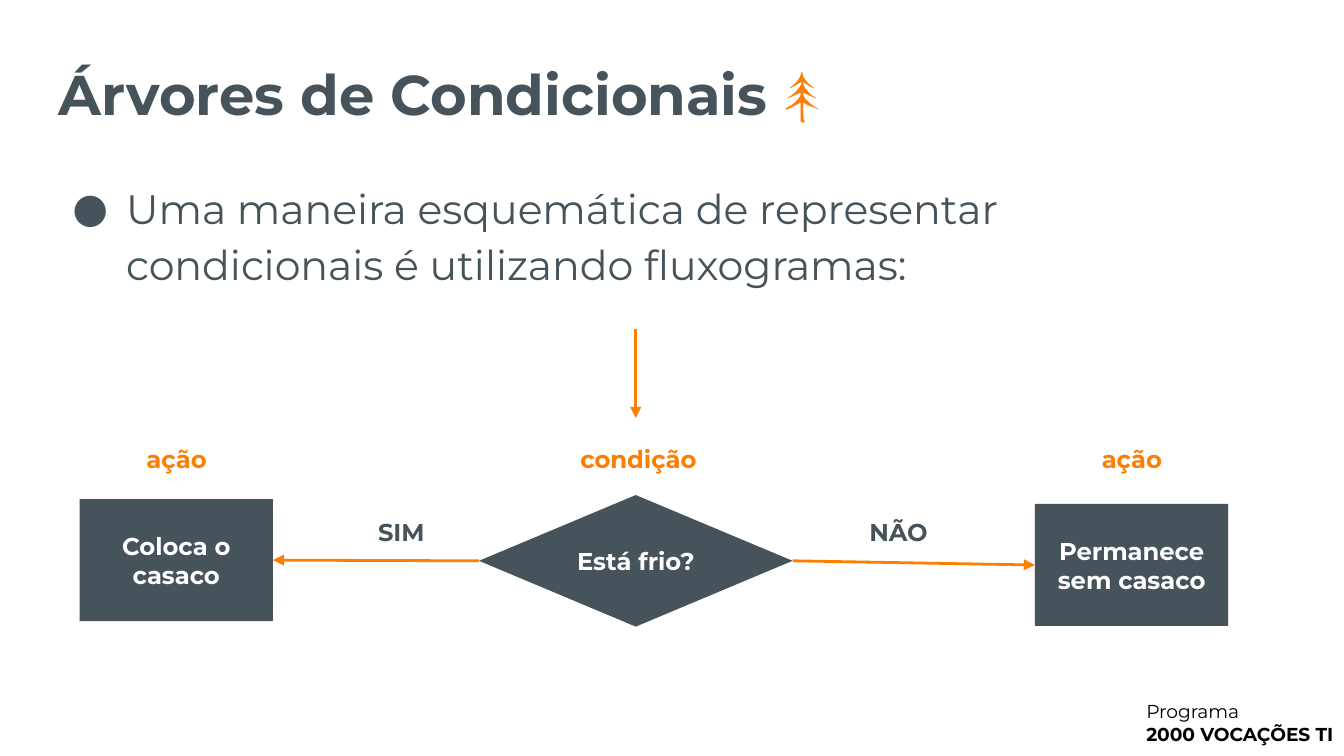
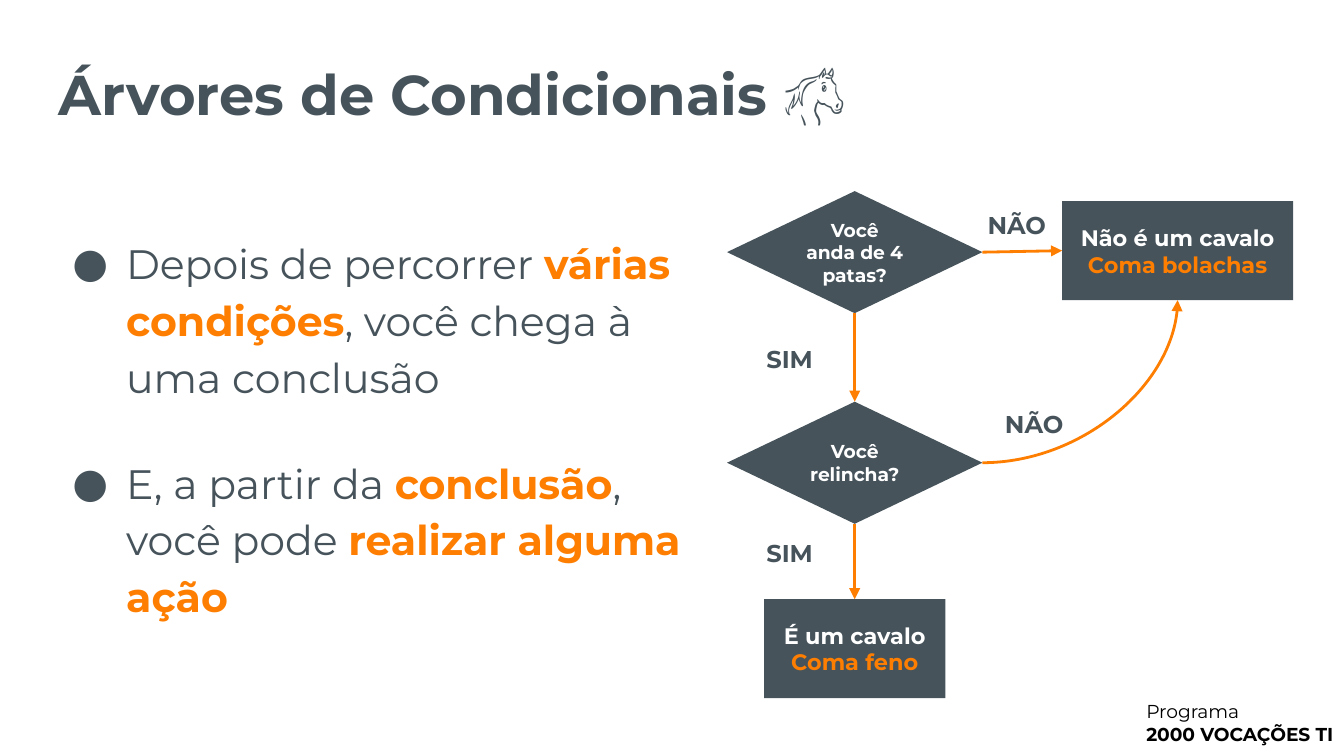
"""Build two slides that explain conditional trees with flowcharts."""
from dataclasses import dataclass

from lxml import etree
from pptx import Presentation
from pptx.dml.color import RGBColor
from pptx.enum import shapes, text
from pptx.oxml.ns import qn
from pptx.util import Pt

SLATE = RGBColor(0x46, 0x53, 0x5B)
ORANGE = RGBColor(0xFE, 0x7E, 0x02)
WHITE = RGBColor(0xFF, 0xFF, 0xFF)
BLACK = RGBColor(0x00, 0x00, 0x00)
FONT = "Montserrat"
INSET = 7.2
LEFT_MARGIN = 24.5
TITLE = "Árvores de Condicionais "
RECTANGLE = shapes.MSO_SHAPE.RECTANGLE
DECISION = shapes.MSO_SHAPE.FLOWCHART_DECISION
CENTER = text.PP_ALIGN.CENTER
TOP, LEFT, BOTTOM, RIGHT = range(4)


@dataclass(frozen=True)
class Box:
    left: float
    top: float
    width: float
    height: float

    def lengths(self):
        return [Pt(value) for value in (self.left, self.top, self.width, self.height)]


@dataclass(frozen=True)
class Span:
    content: str
    color: RGBColor | None = None
    bold: bool | None = None
    size: float | None = None


@dataclass(frozen=True)
class Node:
    kind: shapes.MSO_SHAPE
    box: Box
    lines: tuple[Span, ...]
    size: float


@dataclass(frozen=True)
class Label:
    content: str
    center_x: float
    center_y: float
    color: RGBColor = SLATE
    width: float = 55.5


@dataclass(frozen=True)
class Link:
    source: int
    source_side: int
    target: int
    target_side: int
    curved: bool = False


@dataclass(frozen=True)
class Flowchart:
    nodes: tuple[Node, ...]
    links: tuple[Link, ...]
    labels: tuple[Label, ...]


def prepare_frame(shape, middle=True):
    frame = shape.text_frame
    frame.word_wrap = True
    frame.margin_left = frame.margin_right = Pt(INSET)
    frame.margin_top = frame.margin_bottom = Pt(INSET)
    anchor = text.MSO_ANCHOR
    frame.vertical_anchor = anchor.MIDDLE if middle else anchor.TOP
    return frame


def add_frame(slide, box: Box, middle=True):
    return prepare_frame(slide.shapes.add_textbox(*box.lengths()), middle)


def style_paragraph(paragraph, size: float, color: RGBColor, bold=False):
    font = paragraph.font
    font.name, font.size, font.bold = FONT, Pt(size), bold
    font.color.rgb = color


def add_spans(paragraph, spans: tuple[Span, ...]):
    for span in spans:
        run = paragraph.add_run()
        run.text = span.content
        if span.color is not None:
            run.font.color.rgb = span.color
        if span.bold is not None:
            run.font.bold = span.bold
        if span.size is not None:
            run.font.size = Pt(span.size)


def add_title(slide, emoji: str, emoji_color: RGBColor):
    frame = add_frame(slide, Box(LEFT_MARGIN, 10, 617, 77))
    paragraph = frame.paragraphs[0]
    style_paragraph(paragraph, 30, SLATE, bold=True)
    add_spans(paragraph, (Span(TITLE), Span(emoji, emoji_color, size=34)))


def add_footer(slide):
    frame = add_frame(slide, Box(607, 368, 125, 39), middle=False)
    frame.text = "Programa\n2000 VOCAÇÕES TI"
    for paragraph, bold in zip(frame.paragraphs, (False, True)):
        style_paragraph(paragraph, 10, BLACK, bold)


def add_bullet(paragraph):
    properties = paragraph._p.get_or_add_pPr()
    properties.set("marL", str(Pt(36)))
    properties.set("indent", str(Pt(-28.8)))
    color = etree.SubElement(properties, qn("a:buClr"))
    etree.SubElement(color, qn("a:srgbClr"), val=str(SLATE))
    etree.SubElement(properties, qn("a:buFont"), typeface=FONT)
    etree.SubElement(properties, qn("a:buChar"), char="●")


def add_bullets(slide, box: Box, bullets: tuple[tuple[Span, ...], ...]):
    frame = add_frame(slide, box, middle=False)
    for index, spans in enumerate(bullets):
        paragraph = frame.add_paragraph() if index else frame.paragraphs[0]
        add_bullet(paragraph)
        paragraph.line_spacing = 1.15
        if index:
            paragraph.space_before = Pt(26.5)
        style_paragraph(paragraph, 22, SLATE)
        add_spans(paragraph, spans)


def add_node(slide, node: Node):
    shape = slide.shapes.add_shape(node.kind, *node.box.lengths())
    shape.shadow.inherit = False
    shape.fill.solid()
    shape.fill.fore_color.rgb = SLATE
    shape.line.fill.background()
    paragraph = prepare_frame(shape).paragraphs[0]
    paragraph.alignment = CENTER
    style_paragraph(paragraph, node.size, WHITE, bold=True)
    for index, line in enumerate(node.lines):
        if index:
            paragraph.add_line_break()
        add_spans(paragraph, (line,))
    return shape


def add_label(slide, label: Label):
    height = 24
    box = Box(label.center_x - label.width / 2, label.center_y - height / 2,
              label.width, height)
    paragraph = add_frame(slide, box).paragraphs[0]
    paragraph.alignment = CENTER
    style_paragraph(paragraph, 13, label.color, bold=True)
    add_spans(paragraph, (Span(label.content),))


def add_arrow(slide, start=(0, 0), end=(0, 0), curved=False):
    kind = shapes.MSO_CONNECTOR.CURVE if curved else shapes.MSO_CONNECTOR.STRAIGHT
    arrow = slide.shapes.add_connector(kind, *(Pt(value) for value in (*start, *end)))
    arrow.line.width = Pt(1.5)
    arrow.line.color.rgb = ORANGE
    properties = arrow.element.spPr
    if curved:
        properties.find(qn("a:prstGeom")).set("prst", "curvedConnector2")
    etree.SubElement(properties.find(qn("a:ln")), qn("a:tailEnd"), type="triangle")
    etree.SubElement(properties, qn("a:effectLst"))
    return arrow


def add_flowchart(slide, chart: Flowchart):
    drawn = [add_node(slide, node) for node in chart.nodes]
    for link in chart.links:
        arrow = add_arrow(slide, curved=link.curved)
        arrow.begin_connect(drawn[link.source], link.source_side)
        arrow.end_connect(drawn[link.target], link.target_side)
    for label in chart.labels:
        add_label(slide, label)


def add_slide(presentation, emoji: str, emoji_color: RGBColor):
    slide = presentation.slides.add_slide(presentation.slide_layouts[6])
    add_footer(slide)
    add_title(slide, emoji, emoji_color)
    return slide


def key(content: str) -> Span:
    return Span(content, ORANGE, True)


COAT_CHART = Flowchart(
    nodes=(
        Node(DECISION, Box(256.6, 265.2, 168, 70.5), (Span("Está frio?"),), 13),
        Node(RECTANGLE, Box(42.6, 267.4, 103.6, 65.4), (Span("Coloca o casaco"),), 13),
        Node(RECTANGLE, Box(554.4, 270, 103.6, 65.4), (Span("Permanece sem casaco"),), 13),
    ),
    links=(Link(0, LEFT, 1, RIGHT), Link(0, RIGHT, 2, LEFT)),
    labels=(
        Label("NÃO", 481.3, 285),
        Label("SIM", 215, 285),
        Label("condição", 342, 246, ORANGE, 103.6),
        Label("ação", 606.4, 246, ORANGE),
        Label("ação", 94.6, 246, ORANGE),
    ),
)

HORSE_CHART = Flowchart(
    nodes=(
        Node(DECISION, Box(389.5, 102.4, 136.8, 65.4), (Span("Você anda de 4 patas?"),), 10),
        Node(DECISION, Box(389.5, 215.2, 136.8, 65.4), (Span("Você relincha?"),), 10),
        Node(RECTANGLE, Box(409.3, 321, 97.2, 53),
             (Span("É um cavalo"), Span("Coma feno", ORANGE)), 12),
        Node(RECTANGLE, Box(569, 107.8, 123.8, 53),
             (Span("Não é um cavalo"), Span("Coma bolachas", ORANGE)), 12),
    ),
    links=(
        Link(0, RIGHT, 3, LEFT),
        Link(0, BOTTOM, 1, TOP),
        Link(1, BOTTOM, 2, TOP),
        Link(1, RIGHT, 3, BOTTOM, curved=True),
    ),
    labels=(
        Label("NÃO", 544.7, 120.6),
        Label("NÃO", 554, 227),
        Label("SIM", 423, 192),
        Label("SIM", 423, 296),
    ),
)


def build_coat_slide(presentation):
    slide = add_slide(presentation, "🌲", ORANGE)
    add_bullets(slide, Box(LEFT_MARGIN, 87, 654, 77), (
        (Span("Uma maneira esquemática de representar condicionais "
              "é utilizando fluxogramas:"),),
    ))
    add_flowchart(slide, COAT_CHART)
    add_arrow(slide, (340.6, 176.4), (340.6, 224))


def build_horse_slide(presentation):
    slide = add_slide(presentation, "🐴", SLATE)
    add_bullets(slide, Box(LEFT_MARGIN, 116.8, 353.5, 207.4), (
        (Span("Depois de percorrer "), key("várias condições"),
         Span(", você chega à uma conclusão")),
        (Span("E, a partir da "), key("conclusão"), Span(", você pode "),
         key("realizar alguma ação")),
    ))
    add_flowchart(slide, HORSE_CHART)


def main():
    presentation = Presentation()
    presentation.slide_width, presentation.slide_height = Pt(720), Pt(405)
    build_coat_slide(presentation)
    build_horse_slide(presentation)
    presentation.save("out.pptx")


if __name__ == "__main__":
    main()
